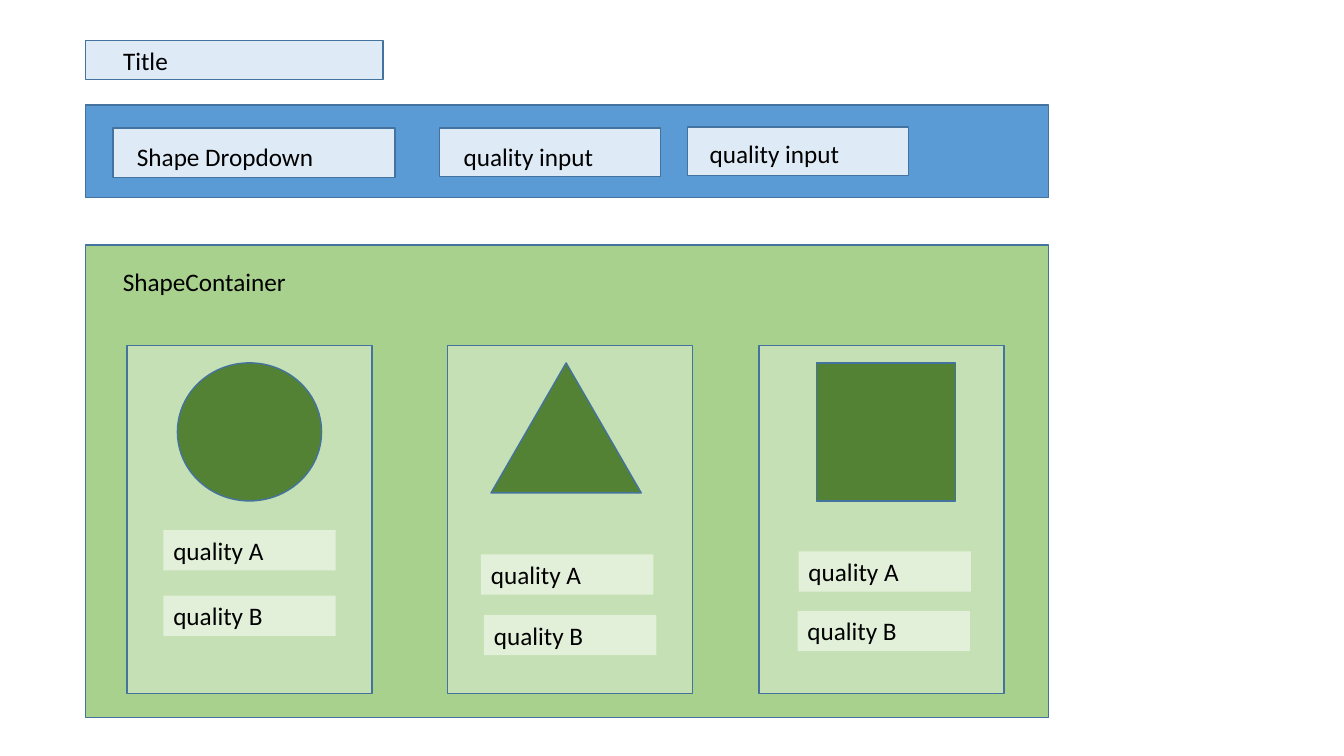
from dataclasses import dataclass

from pptx import Presentation
from pptx import util as u
from pptx.dml.color import RGBColor
from pptx.enum import shapes, text

# Lengths are px, 100 to the inch. Boxes are (left, top, width, height).
SLIDE = (1333, 750)
LABEL_HEIGHT = 40

TITLE = {"label": "Title", "box": (85, 40, 295, 39), "label_at": (112, 40, 240)}
TOOLBAR = (85, 104, 955, 92)
INPUTS = [
    {"label": "Shape Dropdown", "box": (112, 127, 280, 49), "label_at": (126, 135, 254)},
    {"label": "quality input", "box": (436, 127, 219, 48), "label_at": (450, 135, 194)},
    {"label": "quality input", "box": (682, 126, 219, 48), "label_at": (694, 132, 194)},
]
CONTAINER = {"label": "ShapeContainer", "box": (85, 243, 955, 469), "label_at": (112, 259, 338)}

CARD_TOP, CARD_WIDTH, CARD_HEIGHT = 343, 243, 345
FIGURE_TOP = 360
QUALITY_WIDTH = 171
FIGURE = shapes.MSO_SHAPE
CARDS = [
    {"left": 126, "figure": FIGURE.OVAL, "figure_box": (176, 143, 137),
     "qualities": [("quality A", 162, 526), ("quality B", 162, 591)]},
    {"left": 444, "figure": FIGURE.ISOSCELES_TRIANGLE, "figure_box": (487, 149, 129),
     "qualities": [("quality A", 477, 550), ("quality B", 480, 610)]},
    {"left": 753, "figure": FIGURE.RECTANGLE, "figure_box": (810, 138, 137),
     "qualities": [("quality A", 792, 547), ("quality B", 791, 606)]},
]


@dataclass(frozen=True)
class Theme:
    font: str = "Calibri"
    size: int = 18
    ink: str = "000000"
    outline: str = "43739E"
    field: str = "DEEBF7"
    toolbar: str = "5B9BD5"
    container: str = "A9D18E"
    card: str = "C5E0B4"
    figure: str = "548235"
    quality: str = "E2F0D9"


THEME = Theme()


def px(length):
    return u.Emu(length * 9144)


def add_block(slide, box, fill, figure=FIGURE.RECTANGLE, outlined=True):
    block = slide.shapes.add_shape(figure, *map(px, box))
    block.shadow.inherit = False
    block.fill.solid()
    block.fill.fore_color.rgb = RGBColor.from_string(fill)
    if outlined:
        block.line.color.rgb = RGBColor.from_string(THEME.outline)
        block.line.width = u.Pt(1)
    else:
        block.line.fill.background()
    return block


def write(holder, label):
    frame = holder.text_frame
    frame.text = label
    frame.word_wrap = True
    frame.auto_size = text.MSO_AUTO_SIZE.NONE
    frame.vertical_anchor = text.MSO_ANCHOR.TOP
    paragraph = frame.paragraphs[0]
    paragraph.alignment = text.PP_ALIGN.LEFT
    paragraph.line_spacing = 1.0
    paragraph.space_before = u.Pt(0)
    font = paragraph.runs[0].font
    font.name, font.size = THEME.font, u.Pt(THEME.size)
    font.color.rgb = RGBColor.from_string(THEME.ink)


def add_labelled_block(slide, part, fill):
    add_block(slide, part["box"], fill)
    label = slide.shapes.add_textbox(*map(px, (*part["label_at"], LABEL_HEIGHT)))
    write(label, part["label"])


def add_title(slide):
    """Fill the title placeholder and put its box behind it."""
    title = slide.shapes.title
    title.left, title.top, title.width, title.height = map(
        px, (*TITLE["label_at"], LABEL_HEIGHT))
    write(title, TITLE["label"])
    title.element.addprevious(add_block(slide, TITLE["box"], THEME.field).element)


def add_card(slide, card):
    add_block(slide, (card["left"], CARD_TOP, CARD_WIDTH, CARD_HEIGHT), THEME.card)
    left, width, height = card["figure_box"]
    add_block(slide, (left, FIGURE_TOP, width, height), THEME.figure, card["figure"])
    for label, left, top in card["qualities"]:
        box = (left, top, QUALITY_WIDTH, LABEL_HEIGHT)
        write(add_block(slide, box, THEME.quality, outlined=False), label)


def main():
    deck = Presentation()
    deck.slide_width, deck.slide_height = map(px, SLIDE)
    slide = deck.slides.add_slide(deck.slide_layouts.get_by_name("Title Only"))

    add_title(slide)
    add_block(slide, TOOLBAR, THEME.toolbar)
    for field in INPUTS:
        add_labelled_block(slide, field, THEME.field)
    add_labelled_block(slide, CONTAINER, THEME.container)
    for card in CARDS:
        add_card(slide, card)

    deck.save("out.pptx")


if __name__ == "__main__":
    main()
